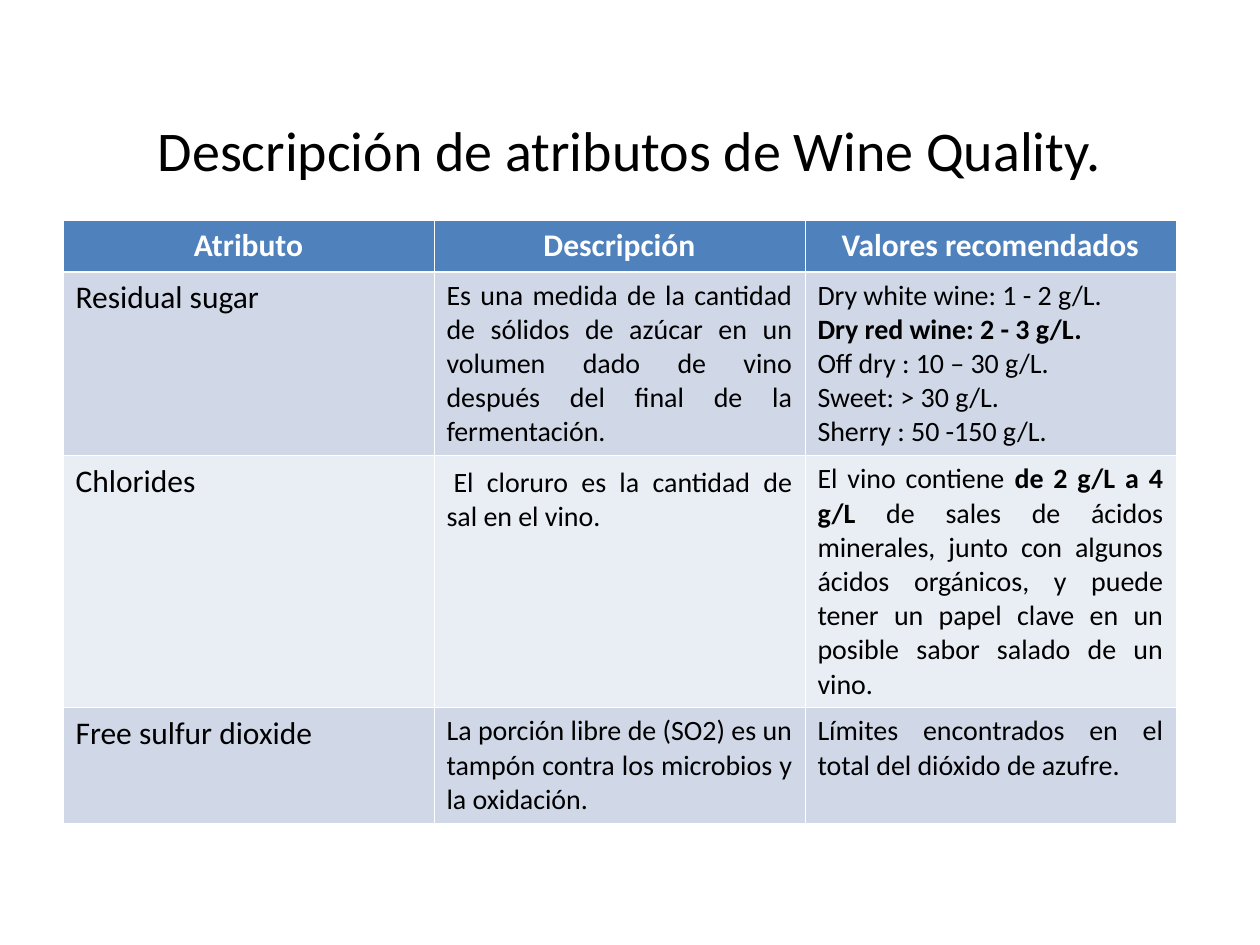
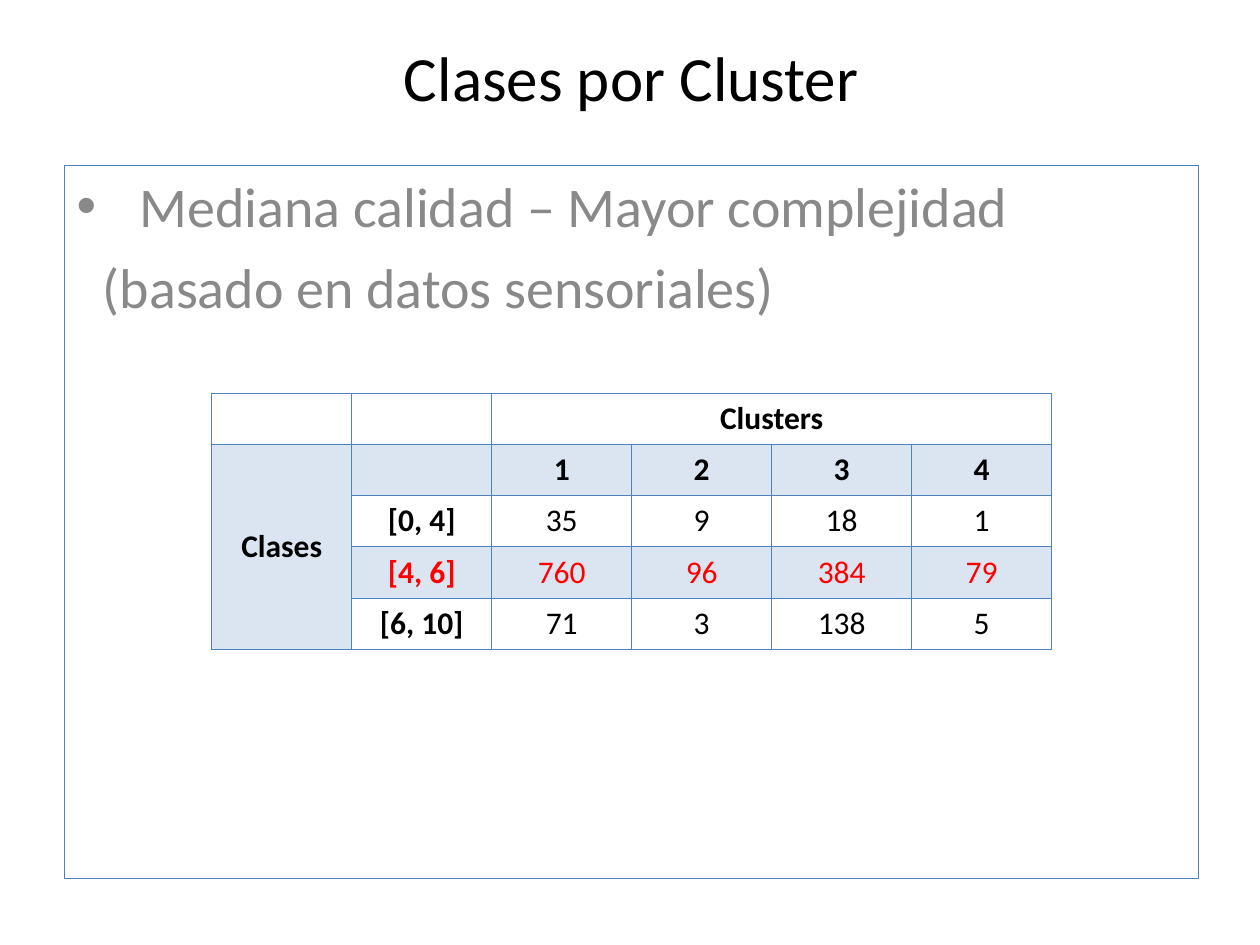
from lxml import etree
from pptx import Presentation
from pptx.dml.color import RGBColor
from pptx.enum import shapes, text
from pptx.oxml import ns
from pptx.util import Pt

BLACK = RGBColor(0x00, 0x00, 0x00)
WHITE = RGBColor(0xFF, 0xFF, 0xFF)
BLUE = RGBColor(0x4F, 0x81, 0xBD)
BAND_DARK = RGBColor(0xD0, 0xD8, 0xE8)
BAND_LIGHT = RGBColor(0xE9, 0xED, 0xF4)
GRAY = RGBColor(0x89, 0x89, 0x89)
RED = RGBColor(0xFF, 0x00, 0x00)
FONT = "Calibri"
LEFT, CENTER, JUSTIFY = text.PP_ALIGN.LEFT, text.PP_ALIGN.CENTER, text.PP_ALIGN.JUSTIFY


def write(tf, content, size, color, align):
    for i, line in enumerate(content.split("\n")):
        p = tf.paragraphs[0] if i == 0 else tf.add_paragraph()
        p.alignment = align
        for j, part in enumerate(line.split("*")):
            if part:
                r = p.add_run()
                r.text = part
                r.font.name = FONT
                r.font.size = Pt(size)
                r.font.bold = j % 2 == 1
                r.font.color.rgb = color


def set_borders(cell, color, top, bottom):
    tc_pr = cell._tc.get_or_add_tcPr()
    for side, width in (("L", 0.45), ("R", 0.45), ("T", top), ("B", bottom)):
        ln = etree.SubElement(tc_pr, ns.qn("a:ln" + side), w=str(Pt(width)))
        solid = etree.SubElement(ln, ns.qn("a:solidFill"))
        etree.SubElement(solid, ns.qn("a:srgbClr"), val=str(color))


prs = Presentation()
prs.slide_width, prs.slide_height = Pt(720), Pt(540)

slides = []
for title, size, left, top, height in (
    ("Descripción de atributos de Wine Quality.", 32, 36, 62.5, 45),
    ("Clases por Cluster", 36, 36.7, 15, 57),
):
    s = prs.slides.add_slide(prs.slide_layouts[6])
    tf = s.shapes.add_textbox(Pt(left), Pt(top), Pt(648), Pt(height)).text_frame
    tf.word_wrap = True
    tf.vertical_anchor = text.MSO_ANCHOR.MIDDLE
    write(tf, title, size, BLACK, CENTER)
    slides.append(s)
attributes_slide, clusters_slide = slides

attributes = [
    ("*Atributo*", "*Descripción*", "*Valores recomendados*"),
    (
        "Residual sugar",
        "Es una medida de la cantidad de sólidos de azúcar en un volumen dado "
        "de vino después del final de la fermentación.",
        "Dry white wine: 1 - 2 g/L.\n*Dry red wine: 2 - 3 g/L.*\n"
        "Off dry : 10 – 30 g/L.\nSweet: > 30 g/L.\nSherry : 50 -150 g/L.",
    ),
    (
        "Chlorides",
        "El cloruro es la cantidad de sal en el vino.",
        "El vino contiene *de 2 g/L a 4 g/L* de sales de ácidos minerales, junto con "
        "algunos ácidos orgánicos, y puede tener un papel clave en un posible sabor "
        "salado de un vino.",
    ),
    (
        "Free sulfur dioxide",
        "La porción libre de (SO2) es un tampón contra los microbios y la oxidación.",
        "Límites encontrados en el total del dióxido de azufre.",
    ),
]
row_heights = (29.5, 105, 144, 66)
table = attributes_slide.shapes.add_table(
    4, 3, Pt(36), Pt(126), Pt(636), Pt(sum(row_heights))
).table
table.first_row = table.horz_banding = False
for i, row in enumerate(attributes):
    table.rows[i].height = Pt(row_heights[i])
    for j, content in enumerate(row):
        cell = table.cell(i, j)
        set_borders(cell, WHITE, 1.47 if i == 1 else 0.45, 1.47 if i == 0 else 0.45)
        cell.fill.solid()
        cell.fill.fore_color.rgb = (BLUE, BAND_DARK, BAND_LIGHT, BAND_DARK)[i]
        size = 18 if i == 0 or j == 0 else 16
        write(cell.text_frame, content, size, WHITE if i == 0 else BLACK,
              CENTER if i == 0 else JUSTIFY)
chloride = table.cell(2, 1)
chloride.margin_top = Pt(5.5)
chloride.text_frame.paragraphs[0]._p.get_or_add_pPr().set("indent", str(Pt(4)))

panel = clusters_slide.shapes.add_shape(
    shapes.MSO_SHAPE.RECTANGLE, Pt(36.7), Pt(94.3), Pt(648), Pt(407.5)
)
panel.shadow.inherit = False
panel.fill.solid()
panel.fill.fore_color.rgb = WHITE
panel.line.color.rgb = BLUE
panel.line.width = Pt(0.25)
tf = panel.text_frame
tf.vertical_anchor = text.MSO_ANCHOR.TOP
write(tf, "Mediana calidad – Mayor complejidad\n(basado en datos sensoriales)", 32, GRAY, LEFT)
quality, basis = tf.paragraphs
p_pr = quality._p.get_or_add_pPr()
p_pr.set("marL", str(Pt(36)))
p_pr.set("indent", str(Pt(-36)))
etree.SubElement(p_pr, ns.qn("a:buFont"), typeface="Arial")
etree.SubElement(p_pr, ns.qn("a:buChar"), char="•")
basis._p.get_or_add_pPr().set("marL", str(Pt(15)))
basis.space_before = Pt(8)

clusters = [
    ("", "", "*Clusters*", "", "", ""),
    ("*Clases*", "", "*1*", "*2*", "*3*", "*4*"),
    ("", "*[0, 4]*", "35", "9", "18", "1"),
    ("", "*[4, 6]*", "760", "96", "384", "79"),
    ("", "*[6, 10]*", "71", "3", "138", "5"),
]
table = clusters_slide.shapes.add_table(5, 6, Pt(121), Pt(224.6), Pt(480), Pt(146.5)).table
table.first_row = table.horz_banding = False
table.cell(0, 2).merge(table.cell(0, 5))
table.cell(1, 0).merge(table.cell(4, 0))
for i, row in enumerate(clusters):
    for j, content in enumerate(row):
        cell = table.cell(i, j)
        set_borders(cell, BLUE, 0.96 if i == 1 else 0.45, 0.96 if i == 0 else 0.45)
        if i in (1, 3) or (i > 0 and j == 0):
            cell.fill.solid()
            cell.fill.fore_color.rgb = BLUE
            color = cell._tc.tcPr.find(ns.qn("a:solidFill")).find(ns.qn("a:srgbClr"))
            etree.SubElement(color, ns.qn("a:alpha"), val="20000")
        else:
            cell.fill.background()
        write(cell.text_frame, content, 18, RED if i == 3 else BLACK, CENTER)
table.cell(1, 0).vertical_anchor = text.MSO_ANCHOR.MIDDLE

prs.save("out.pptx")
